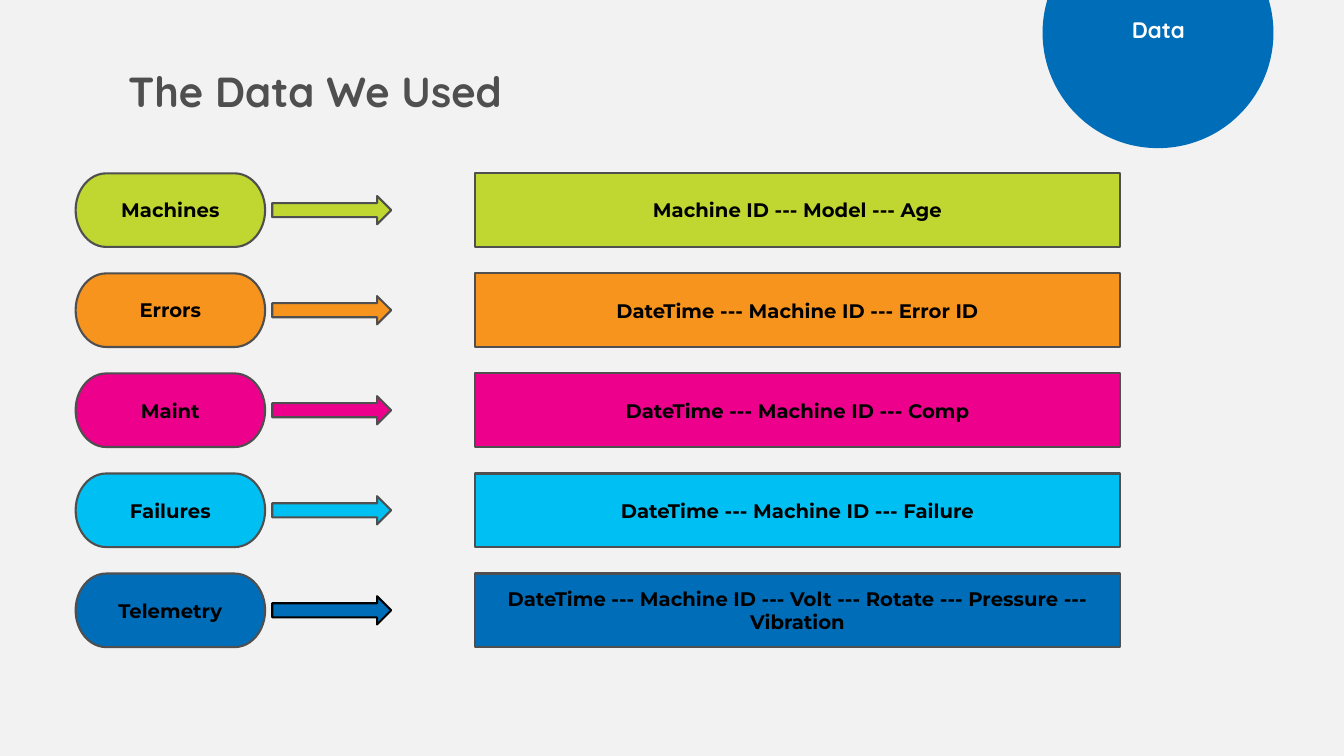
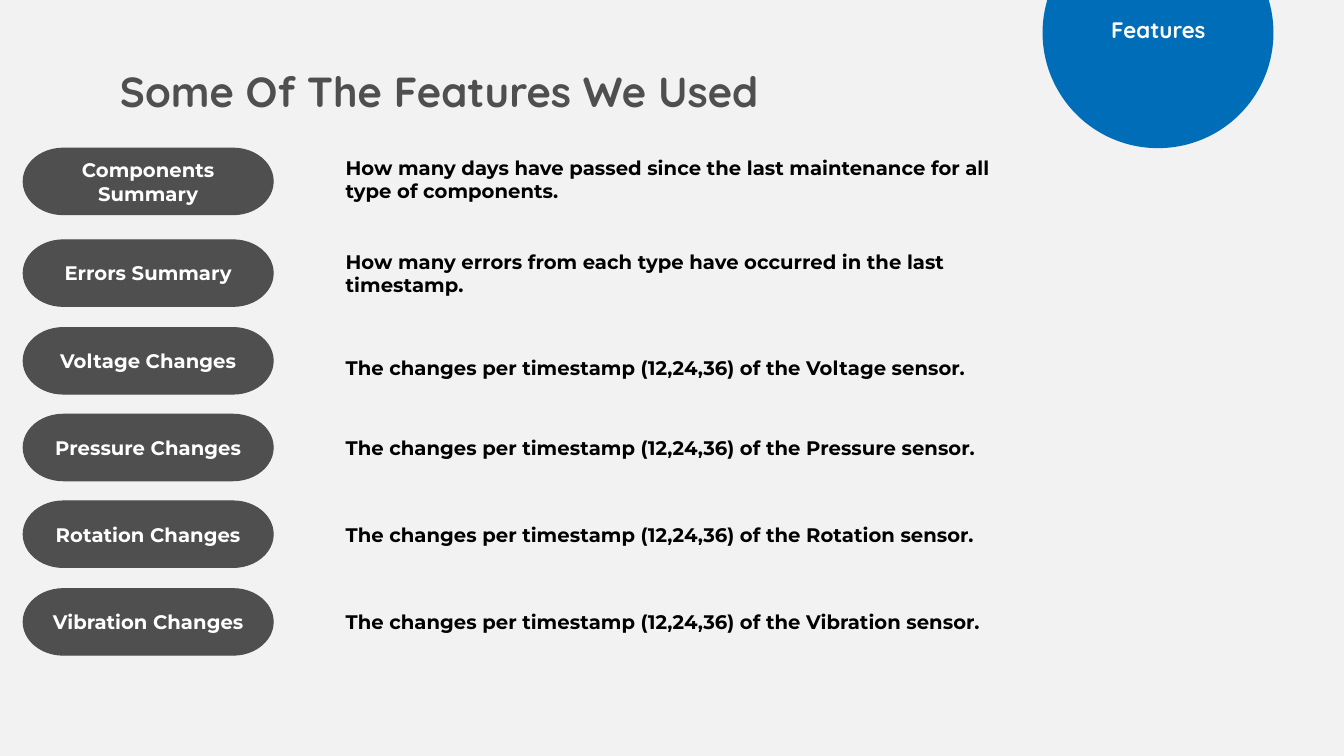
from pptx import Presentation
from pptx.dml.color import RGBColor
from pptx.enum import shapes, text
from pptx.util import Inches, Pt

GREY, BLUE, WHITE, BLACK, PAPER = "4F4F4F", "006DB8", "FFFFFF", "000000", "F2F2F2"
HEADING_FONT, BODY_FONT = "Quicksand", "Montserrat"
SHAPE, ALIGN, ANCHOR = shapes.MSO_SHAPE, text.PP_ALIGN, text.MSO_ANCHOR

# Table name, its columns, fill, arrow outline
DATA_SETS = [
    ("Machines", "Machine ID --- Model --- Age", "BFD730", GREY),
    ("Errors", "DateTime --- Machine ID --- Error ID", "F7941E", GREY),
    ("Maint", "DateTime --- Machine ID --- Comp", "EC008C", GREY),
    ("Failures", "DateTime --- Machine ID --- Failure", "00C0F3", GREY),
    ("Telemetry", "DateTime --- Machine ID --- Volt --- Rotate --- Pressure --- Vibration",
     BLUE, BLACK),
]

# Feature, its description, top of the pill, top of the description
FEATURES = [
    ("Components Summary",
     "How many days have passed since the last maintenance for all type of components.",
     1.47, 1.45),
    ("Errors Summary",
     "How many errors from each type have occurred in the last timestamp.", 2.38, 2.38),
] + [
    (f"{sensor} Changes",
     f"The changes per timestamp (12,24,36) of the {sensor} sensor.", pill_top, text_top)
    for sensor, pill_top, text_top in [
        ("Voltage", 3.25, 3.32), ("Pressure", 4.11, 4.11),
        ("Rotation", 4.97, 4.97), ("Vibration", 5.84, 5.84)]
]


def colour(value):
    return RGBColor.from_string(value)


def write(box, words, size=14, font=BODY_FONT, ink=BLACK,
          align=ALIGN.CENTER, anchor=ANCHOR.MIDDLE):
    frame = box.text_frame
    frame.auto_size = text.MSO_AUTO_SIZE.NONE
    frame.word_wrap = True
    frame.vertical_anchor = anchor
    frame.margin_left = frame.margin_right = Inches(0.1)
    frame.margin_top = frame.margin_bottom = Inches(0.1)
    para = frame.paragraphs[0]
    para.alignment = align
    span = para.add_run()
    span.text = words
    span.font.size, span.font.name, span.font.bold = Pt(size), font, True
    span.font.color.rgb = colour(ink)


def add_shape(page, kind, place, fill, line=None, weight=1.5):
    shape = page.shapes.add_shape(kind, *map(Inches, place))
    shape.shadow.inherit = False
    shape.fill.solid()
    shape.fill.fore_color.rgb = colour(fill)
    if line:
        shape.line.color.rgb = colour(line)
        shape.line.width = Pt(weight)
    else:
        shape.line.fill.background()
    return shape


def add_text(page, place, words, **style):
    write(page.shapes.add_textbox(*map(Inches, place)), words, **style)


def add_page(deck, title, title_left, section):
    """Title and corner circle shared by every slide."""
    page = deck.slides.add_slide(deck.slide_layouts.get_by_name("Title Only"))
    heading = page.shapes.title
    heading.left, heading.top = Inches(title_left), Inches(0.55)
    heading.width, heading.height = Inches(6.82), Inches(0.66)
    write(heading, title, size=30, font=HEADING_FONT, ink=GREY,
          align=ALIGN.LEFT, anchor=ANCHOR.TOP)
    add_shape(page, SHAPE.OVAL, (10.34, -0.82, 2.29, 2.29), BLUE)
    add_text(page, (10.26, 0.06, 2.46, 0.47), section, size=16,
             font=HEADING_FONT, ink=WHITE, anchor=ANCHOR.BOTTOM)
    return page


def build_data(deck):
    page = add_page(deck, "The Data We Used", 1.17, "Data")
    first_top, last_top, height, arrow_height = 1.72, 5.69, 0.73, 0.28
    pitch = (last_top - first_top) / (len(DATA_SETS) - 1)
    for row, (name, columns, fill, arrow_line) in enumerate(DATA_SETS):
        top = first_top + row * pitch
        pill = add_shape(page, SHAPE.FLOWCHART_TERMINATOR, (0.75, top, 1.88, height), fill, GREY)
        write(pill, name)
        arrow_top = top + (height - arrow_height) / 2
        add_shape(page, SHAPE.RIGHT_ARROW, (2.7, arrow_top, 1.18, arrow_height), fill, arrow_line)
        bar = add_shape(page, SHAPE.FLOWCHART_PROCESS, (4.71, top, 6.4, height), fill, GREY)
        write(bar, columns)


def build_features(deck):
    page = add_page(deck, "Some Of The Features We Used", 1.09, "Features")
    height = 0.66
    for name, description, pill_top, text_top in FEATURES:
        pill = add_shape(page, SHAPE.FLOWCHART_TERMINATOR, (0.23, pill_top, 2.48, height),
                         GREY, GREY, weight=0.75)
        write(pill, name, ink=WHITE)
        add_text(page, (3.33, text_top, 6.93, height), description, align=ALIGN.LEFT)


def main():
    deck = Presentation()
    deck.slide_width, deck.slide_height = Inches(13.33), Inches(7.5)
    backdrop = deck.slide_master.background.fill
    backdrop.solid()
    backdrop.fore_color.rgb = colour(PAPER)
    build_data(deck)
    build_features(deck)
    deck.save("out.pptx")


if __name__ == "__main__":
    main()
